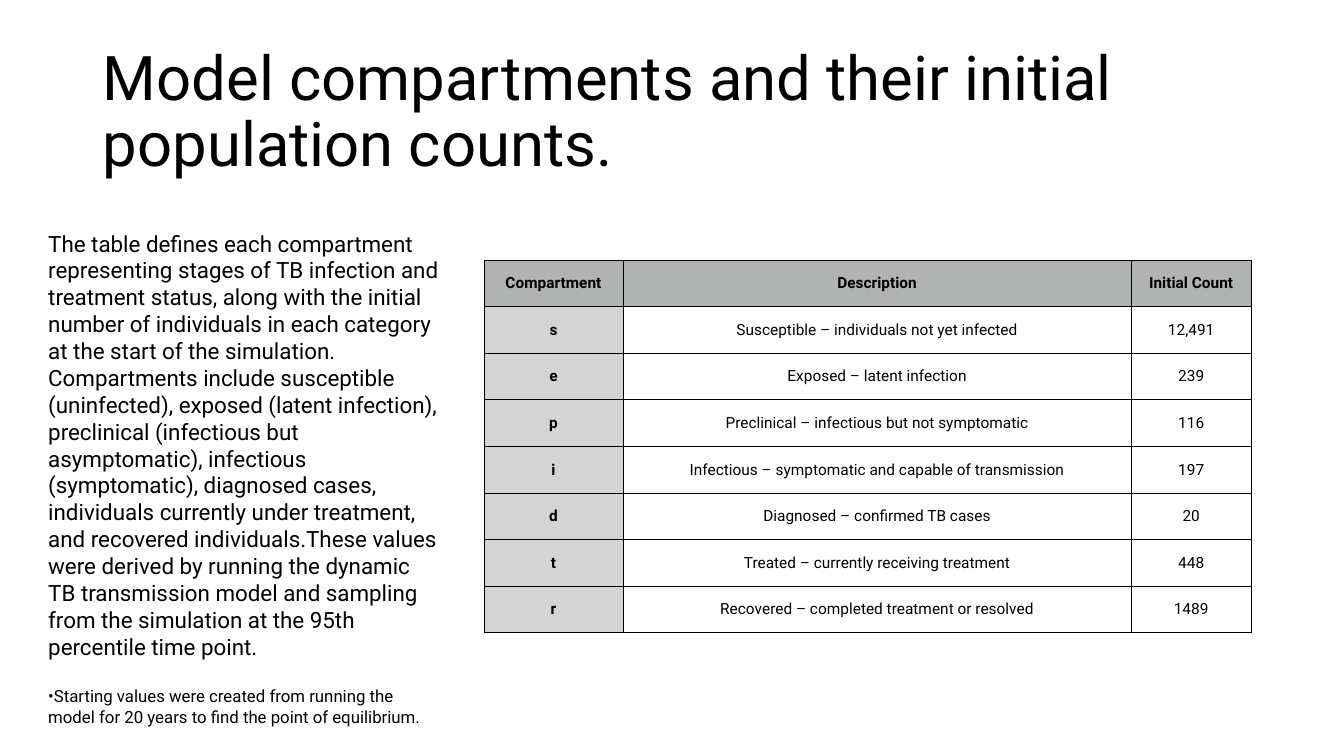
from lxml import etree
from pptx import Presentation
from pptx import util as u
from pptx.dml import color
from pptx.enum import text
from pptx.oxml import ns

FONT = "Roboto"
BLACK = "000000"
HEADER_GREY = "B0B3B2"
KEY_GREY = "D4D4D4"

TITLE = "Model compartments and their initial population counts."
EXPLANATION = (
    "The table defines each compartment representing stages of TB infection and "
    "treatment status, along with the initial number of individuals in each category "
    "at the start of the simulation. Compartments include susceptible (uninfected), "
    "exposed (latent infection), preclinical (infectious but asymptomatic), infectious "
    "(symptomatic), diagnosed cases, individuals currently under treatment, and "
    "recovered individuals.These values were derived by running the dynamic TB "
    "transmission model and sampling from the simulation at the 95th percentile time point."
)
FOOTNOTE = (
    "•Starting values were created from running the model for 20 years "
    "to find the point of equilibrium."
)
COMPARTMENTS = [
    ("Compartment", "Description", "Initial Count"),
    ("s", "Susceptible – individuals not yet infected", "12,491"),
    ("e", "Exposed – latent infection", "239"),
    ("p", "Preclinical – infectious but not symptomatic", "116"),
    ("i", "Infectious – symptomatic and capable of transmission", "197"),
    ("d", "Diagnosed – confirmed TB cases", "20"),
    ("t", "Treated – currently receiving treatment", "448"),
    ("r", "Recovered – completed treatment or resolved", "1489"),
]
COLUMN_SHARES = (1.38, 5.04, 1.19)


def rgb(value):
    return color.RGBColor.from_string(value)


def inches(box):
    return [u.Inches(length) for length in box]


def add_run(paragraph, wording, size, bold=False):
    run = paragraph.add_run()
    run.text = wording
    run.font.name = FONT
    run.font.size = u.Pt(size)
    run.font.bold = bold
    run.font.color.rgb = rgb(BLACK)


def add_title(slide, box):
    heading = slide.shapes.title
    heading.left, heading.top, heading.width, heading.height = inches(box)
    frame = heading.text_frame
    frame.word_wrap = True
    frame.auto_size = text.MSO_AUTO_SIZE.NONE
    frame.vertical_anchor = text.MSO_ANCHOR.MIDDLE
    paragraph = frame.paragraphs[0]
    paragraph.alignment = text.PP_ALIGN.LEFT
    paragraph.line_spacing = 0.9
    add_run(paragraph, TITLE, 44)


def add_explanation(slide, box):
    frame = slide.shapes.add_textbox(*inches(box)).text_frame
    frame.word_wrap = True
    frame.auto_size = text.MSO_AUTO_SIZE.SHAPE_TO_FIT_TEXT
    add_run(frame.paragraphs[0], EXPLANATION, 16)
    footnote = frame.add_paragraph()
    footnote.space_before = u.Pt(19)
    add_run(footnote, FOOTNOTE, 12)


def border_cell(cell):
    properties = cell._tc.get_or_add_tcPr()
    for position, side in enumerate(("a:lnL", "a:lnR", "a:lnT", "a:lnB")):
        line = etree.Element(ns.qn(side), w=str(u.Pt(0.75)))
        fill = etree.SubElement(line, ns.qn("a:solidFill"))
        etree.SubElement(fill, ns.qn("a:srgbClr"), val=BLACK)
        properties.insert(position, line)


def fill_cell(cell, wording, background, bold):
    cell.margin_left = cell.margin_right = u.Inches(0.03)
    cell.margin_top = cell.margin_bottom = u.Inches(0.03)
    cell.vertical_anchor = text.MSO_ANCHOR.MIDDLE
    if background:
        cell.fill.solid()
        cell.fill.fore_color.rgb = rgb(background)
    else:
        cell.fill.background()
    paragraph = cell.text_frame.paragraphs[0]
    paragraph.alignment = text.PP_ALIGN.CENTER
    add_run(paragraph, wording, 11, bold)
    border_cell(cell)


def add_compartments(slide, box):
    width, height = box[2:]
    counts = slide.shapes.add_table(
        len(COMPARTMENTS), len(COLUMN_SHARES), *inches(box)
    ).table
    counts.horz_banding = False
    for column, share in zip(counts.columns, COLUMN_SHARES):
        column.width = u.Inches(width * share / sum(COLUMN_SHARES))
    for row in counts.rows:
        row.height = u.Inches(height / len(COMPARTMENTS))
    for r, compartment in enumerate(COMPARTMENTS):
        for c, wording in enumerate(compartment):
            background = HEADER_GREY if r == 0 else KEY_GREY if c == 0 else None
            fill_cell(counts.cell(r, c), wording, background, r == 0 or c == 0)


def main():
    deck = Presentation()
    deck.slide_width = u.Inches(13.33)
    deck.slide_height = u.Inches(7.5)
    slide = deck.slides.add_slide(deck.slide_layouts[5])
    add_title(slide, (0.92, 0.4, 11.5, 1.45))
    add_compartments(slide, (4.8, 2.58, 7.61, 3.7))
    add_explanation(slide, (0.38, 2.23, 4.08, 5.08))
    deck.save("out.pptx")


if __name__ == "__main__":
    main()
